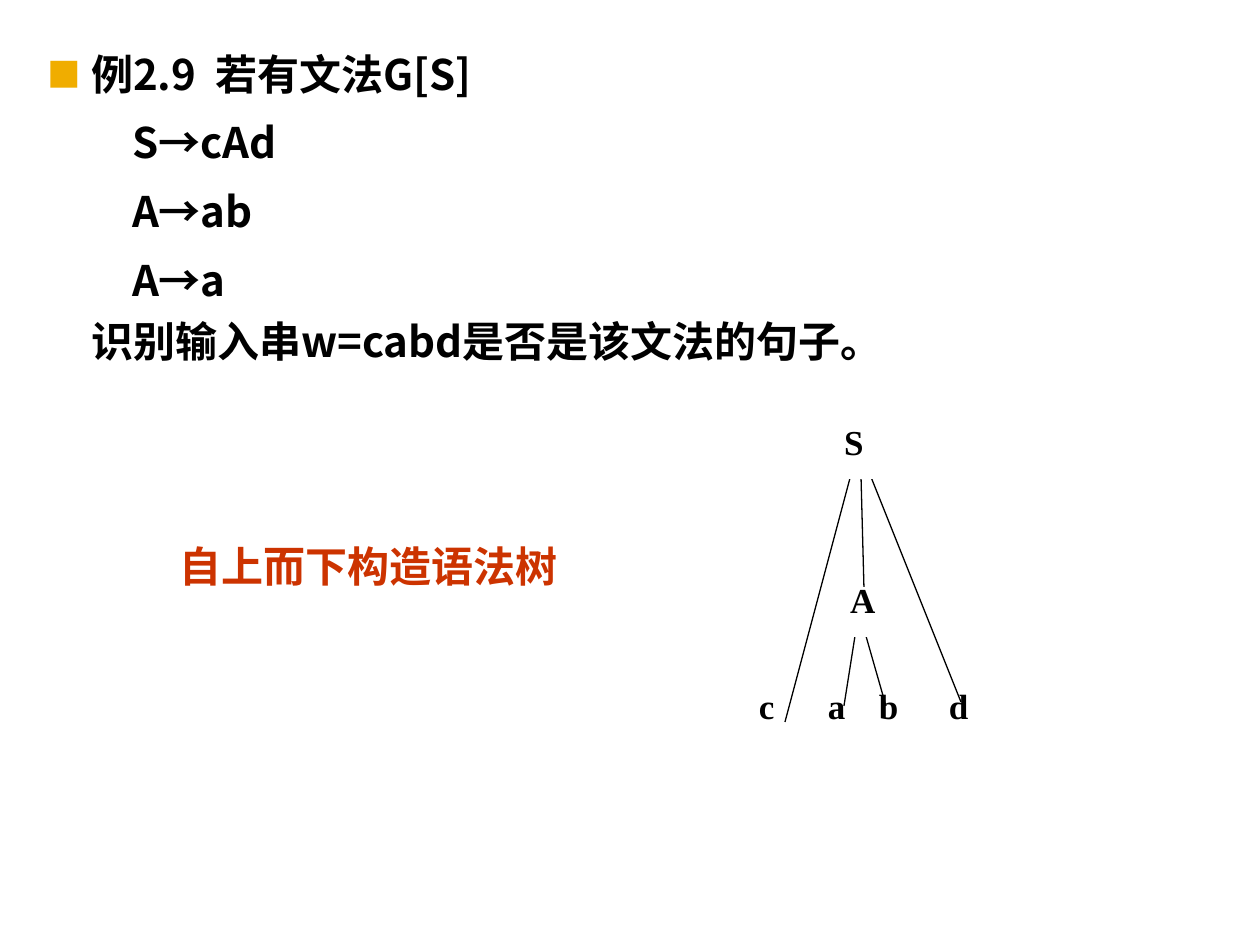
import pptx
import pptx.util
import pptx.dml.color
import pptx.enum.shapes
import pptx.enum.text
import pptx.oxml
import pptx.oxml.ns
import lxml.etree

SCALE = 914400 // 126
COLORS = {"black": "000000", "white": "FFFFFF", "red": "CC3300", "bullet": "F0AD00"}
SANS = "Noto Sans CJK SC"
SERIF = "Times New Roman"
ALIGN = pptx.enum.text.PP_ALIGN
qn = pptx.oxml.ns.qn


def rgb(name):
    return pptx.dml.color.RGBColor.from_string(COLORS[name])


def write(paragraph, text, size=24, font=SANS, color="black", align=None, line=None, before=0):
    run = paragraph.add_run()
    run.text = text
    run.font.size = pptx.util.Pt(size)
    run.font.bold = True
    run.font.name = font
    run.font.color.rgb = rgb(color)
    east_asian = lxml.etree.SubElement(run.font._element, qn("a:ea"))
    east_asian.set("typeface", SANS)
    paragraph.alignment = align
    paragraph.line_spacing = line
    paragraph.space_before = pptx.util.Pt(before)


presentation = pptx.Presentation()
presentation.slide_width = 1260 * SCALE
presentation.slide_height = 945 * SCALE
slide = presentation.slides.add_slide(presentation.slide_layouts[1])
title = slide.shapes.title
title._element.getparent().remove(title._element)

body = slide.placeholders[1]
body.left, body.top, body.width, body.height = [n * SCALE for n in (23, 25, 1085, 359)]
frame = body.text_frame
frame.word_wrap = True
frame.auto_size = pptx.enum.text.MSO_AUTO_SIZE.NONE
frame.vertical_anchor = pptx.enum.text.MSO_ANCHOR.TOP
frame.margin_left, frame.margin_top, frame.margin_right, frame.margin_bottom = [
    n * SCALE for n in (8, 13, 13, 6)]

grammar_lines = [
    ("例2.9  若有文法G[S]", 0, True),
    ("S→cAd", 1, False),
    ("A→ab", 1, False),
    ("A→a", 1, False),
    ("识别输入串w=cabd是否是该文法的句子。", 0, False),
]
for index, (text, level, bulleted) in enumerate(grammar_lines):
    paragraph = frame.paragraphs[0] if index == 0 else frame.add_paragraph()
    paragraph.level = level
    write(paragraph, text, align=ALIGN.LEFT, line=1.2, before=4.8 * level)
    properties = paragraph._p.get_or_add_pPr()
    properties.set("marL", str((101 if level else 60) * SCALE))
    properties.set("indent", str(-44 * SCALE if bulleted else 0))
    if bulleted:
        bullet_color = lxml.etree.SubElement(properties, qn("a:buClr"))
        lxml.etree.SubElement(bullet_color, qn("a:srgbClr")).set("val", COLORS["bullet"])
        lxml.etree.SubElement(properties, qn("a:buSzPct")).set("val", "80000")
        lxml.etree.SubElement(properties, qn("a:buFont")).set("typeface", SANS)
        lxml.etree.SubElement(properties, qn("a:buChar")).set("char", "■")
    else:
        lxml.etree.SubElement(properties, qn("a:buNone"))

caption = slide.shapes.add_textbox(*[n * SCALE for n in (64, 541, 609, 60)])
caption.text_frame.word_wrap = True

leaves = [("c", 759, 685, 39), ("a", 828, 685, 39), ("b", 879, 685, 39), ("d", 949, 685, 39)]
inner_edges = [(856, 630, 844, 706), (864, 629, 886, 706)]
root_edges = [(853, 467, 785, 722), (861, 475, 864, 587), (867, 467, 961, 702)]
layers = [
    (leaves, inner_edges),
    ([("A", 850, 578, 33)], root_edges),
    ([("S", 844, 420, 44)], []),
]
labels = [(caption, "自上而下构造语法树", 24, "red", ALIGN.CENTER)]
for nodes, edges in layers:
    for symbol, left, top, width in nodes:
        node = slide.shapes.add_shape(
            pptx.enum.shapes.MSO_SHAPE.RECTANGLE,
            left * SCALE, top * SCALE, width * SCALE, 59 * SCALE)
        node.shadow.inherit = False
        node.fill.solid()
        node.fill.fore_color.rgb = rgb("white")
        node.line.fill.background()
        labels.append((node, symbol, 20, "black", ALIGN.JUSTIFY))
    for edge in edges:
        branch = slide.shapes.add_connector(
            pptx.enum.shapes.MSO_CONNECTOR.STRAIGHT, *[n * SCALE for n in edge])
        branch.line.color.rgb = rgb("black")
        branch.line.width = pptx.util.Pt(0.75)
        lxml.etree.SubElement(branch._element.spPr, qn("a:effectLst"))

for shape, text, size, color, align in labels:
    frame = shape.text_frame
    frame.margin_left = frame.margin_top = frame.margin_right = frame.margin_bottom = 0
    frame.vertical_anchor = pptx.enum.text.MSO_ANCHOR.TOP
    write(frame.paragraphs[0], text, size=size, font=SERIF, color=color, align=align)

presentation.save("out.pptx")
